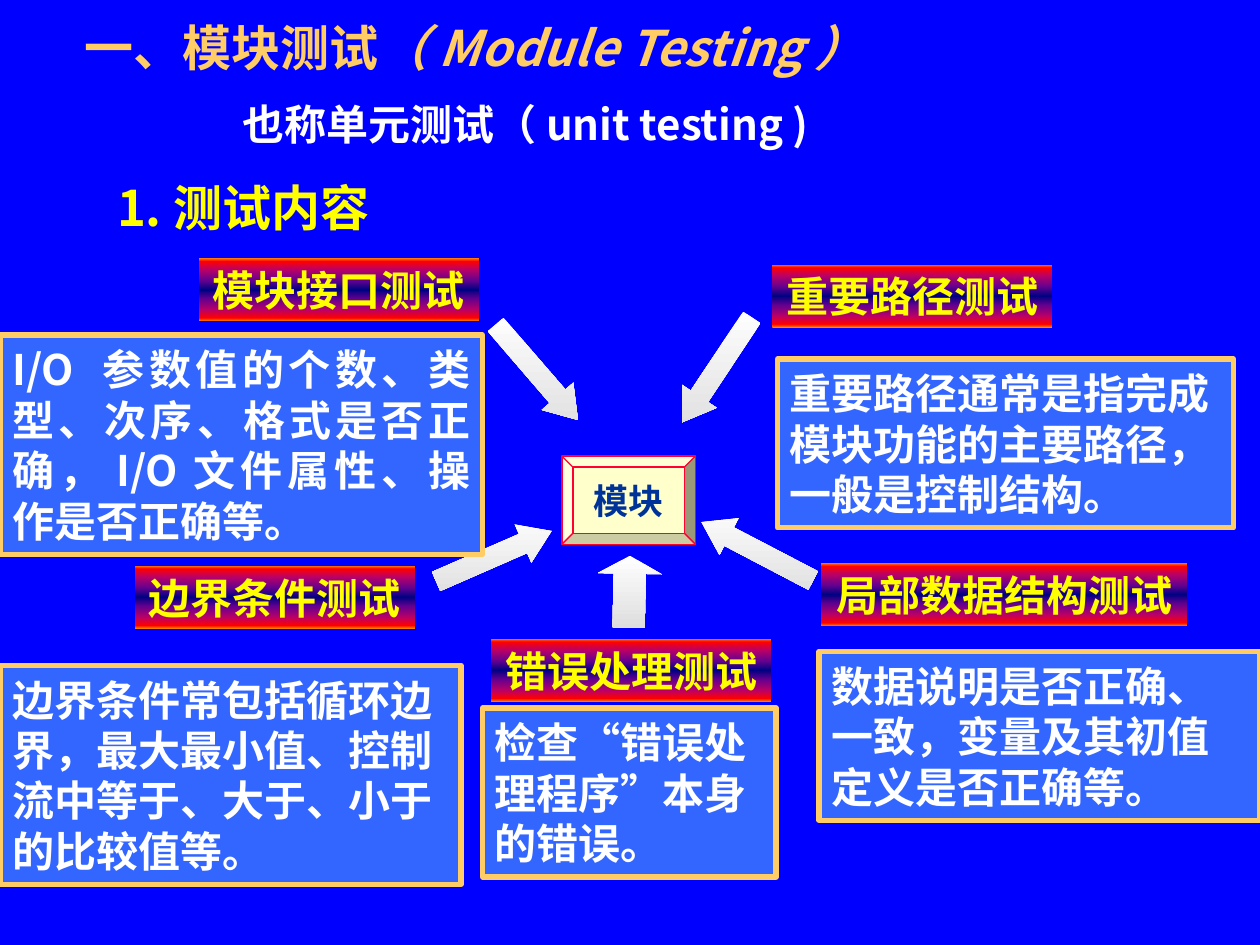
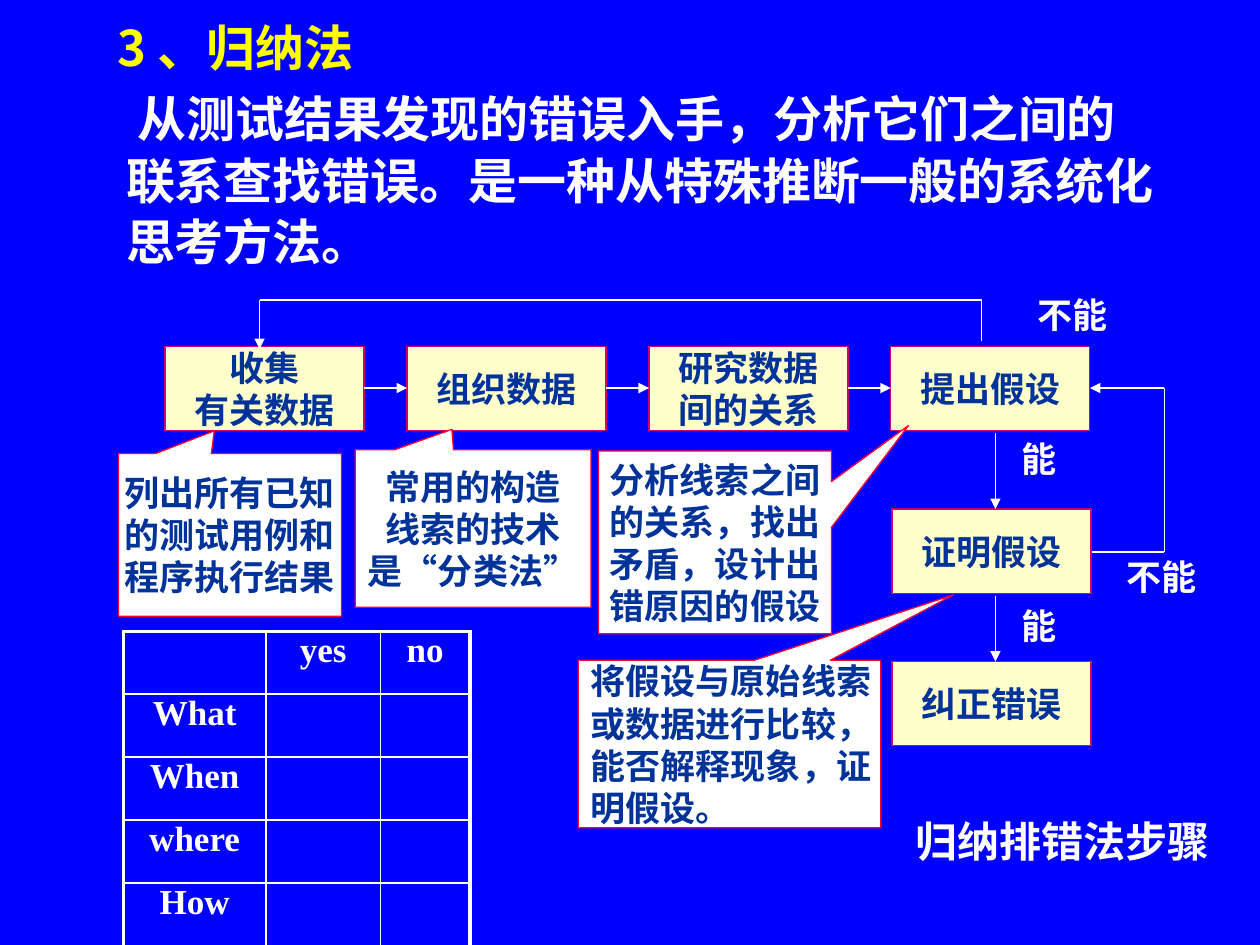
from lxml import etree
from pptx import Presentation
from pptx.dml.color import RGBColor
from pptx.enum.shapes import MSO_CONNECTOR, MSO_SHAPE as SHAPE
from pptx.enum.text import MSO_ANCHOR as ANCHOR, MSO_AUTO_SIZE as AUTO_SIZE, PP_ALIGN as ALIGN
from pptx.oxml.ns import qn
from pptx.util import Inches, Pt

BLUE, WHITE, YELLOW, GOLD = "0000FF", "FFFFFF", "FFFF00", "FFCC66"
PANEL, CREAM, NAVY, RED, MAGENTA = "3366FF", "FFFFCC", "003399", "FF0033", "CC0066"
LABEL_STOPS = [(0, "FF8200"), (5, "FF0000"), (18, "BA0066"), (35, "66008F"), (50, "000082"),
               (65, "66008F"), (82, "BA0066"), (95, "FF0000"), (100, "FF8200")]
ARROW_STOPS = [(0, "FFFFFF"), (100, "DEDEDE")]

SANS, SERIF = "Noto Sans CJK SC", "Times New Roman"
HEADING = {"size": Pt(28), "bold": True, "name": SANS}
TEXT = {"size": Pt(24), "bold": True, "name": SANS}
SMALL = {"size": Pt(20), "bold": True, "name": SERIF}


def rgb(value):
    return RGBColor.from_string(value)


def add_node(parent, tag, **attributes):
    return etree.SubElement(parent, qn(tag), attributes)


def inches(values):
    return [Inches(value) for value in values]


def place(shape, at):
    for name, value in zip(("left", "top", "width", "height"), inches(at)):
        setattr(shape, name, value)


def format_span(span, font, color, shadow=False):
    for name, value in font.items():
        setattr(span.font, name, value)
    span.font.color.rgb = rgb(color)
    properties = span._r.get_or_add_rPr()
    east_asian = etree.Element(qn("a:ea"), typeface=SANS)
    properties.find(qn("a:latin")).addnext(east_asian)
    if shadow:
        effects = etree.Element(qn("a:effectLst"))
        outer = add_node(effects, "a:outerShdw", dist="38100", dir="2700000", algn="tl")
        add_node(outer, "a:srgbClr", val="000000")
        properties.find(qn("a:solidFill")).addnext(effects)


def write(frame, lines, font, color, align=ALIGN.CENTER, wrap=True, anchor=ANCHOR.MIDDLE):
    """Fill a text frame with one paragraph for each line."""
    settings = {"word_wrap": wrap, "vertical_anchor": anchor, "auto_size": AUTO_SIZE.NONE}
    for name, value in settings.items():
        setattr(frame, name, value)
    for number, line in enumerate(lines):
        para = frame.paragraphs[0] if number == 0 else frame.add_paragraph()
        para.alignment = align
        span = para.add_run()
        span.text = line
        format_span(span, font, color)


def fill_gradient(shape, stops):
    """Fill from top to bottom of the page, whatever the rotation."""
    shape.fill.gradient()
    shape.fill.gradient_angle = 270
    gradient = shape._element.spPr.find(qn("a:gradFill"))
    gradient.set("rotWithShape", "0")
    stop_list = gradient.find(qn("a:gsLst"))
    stop_list.clear()
    for percent, color in stops:
        stop = add_node(stop_list, "a:gs", pos=str(percent * 1000))
        add_node(stop, "a:srgbClr", val=color)


def add_figure(page, kind, at, fill, line=None, weight=0.75):
    """Add a preset shape; fill is a colour or a list of gradient stops."""
    shape = page.shapes.add_shape(kind, *inches(at))
    shape.shadow.inherit = False
    if isinstance(fill, list):
        fill_gradient(shape, fill)
    else:
        shape.fill.solid()
        shape.fill.fore_color.rgb = rgb(fill)
    if line:
        shape.line.color.rgb = rgb(line)
        shape.line.width = Pt(weight)
    else:
        shape.line.fill.background()
    return shape


def add_label(page, at, text):
    label = add_figure(page, SHAPE.RECTANGLE, at, LABEL_STOPS)
    write(label.text_frame, [text], TEXT, YELLOW, wrap=False)


def add_panel(page, at, text, align=ALIGN.LEFT):
    panel = add_figure(page, SHAPE.RECTANGLE, at, PANEL, GOLD, 3)
    write(panel.text_frame, [text], TEXT, WHITE, align)


def add_block_arrow(page, at, rotation, head):
    arrow = add_figure(page, SHAPE.RIGHT_ARROW, at, ARROW_STOPS)
    arrow.rotation = rotation
    arrow.adjustments[1] = head


def add_step(page, left, top, lines):
    step = add_figure(page, SHAPE.RECTANGLE, (left, top, 1.58, 0.67), CREAM, MAGENTA)
    write(step.text_frame, lines, SMALL, NAVY, wrap=False)


def add_callout(page, at, tip, lines, align=ALIGN.CENTER):
    callout = add_figure(page, SHAPE.RECTANGULAR_CALLOUT, at, WHITE, RED)
    for index, value in enumerate(tip):
        callout.adjustments[index] = value
    write(callout.text_frame, lines, SMALL, NAVY, align, wrap=False)


def add_note(page, at, text, font, align=ALIGN.CENTER, wrap=True):
    box = page.shapes.add_textbox(*inches(at))
    write(box.text_frame, [text], font, WHITE, align, wrap)


def add_route(page, *points):
    """Join the points with lines and put an arrowhead at the last one."""
    for start, end in zip(points, points[1:]):
        line = page.shapes.add_connector(MSO_CONNECTOR.STRAIGHT, *inches(start + end))
        line.line.color.rgb = rgb(WHITE)
        line.line.width = Pt(0.75)
        properties = line._element.spPr
        add_node(properties, "a:effectLst")
    add_node(properties.find(qn("a:ln")), "a:tailEnd", type="triangle")


def add_title(page, at, spans, color):
    title = page.shapes.title
    place(title, at)
    write(title.text_frame, [], HEADING, color)
    para = title.text_frame.paragraphs[0]
    para.alignment = ALIGN.LEFT
    for text, changes in spans:
        span = para.add_run()
        span.text = text
        format_span(span, {**HEADING, **changes}, color, shadow=True)


def add_body(page, at, lines, color, line_spacing, first_indent=-0.31):
    body = page.placeholders[1]
    place(body, at)
    write(body.text_frame, lines, HEADING, color, ALIGN.LEFT, anchor=ANCHOR.TOP)
    for number, para in enumerate(body.text_frame.paragraphs):
        para.level = 1
        properties = para._p.get_or_add_pPr()
        properties.set("marL", str(Inches(0.81)))
        properties.set("indent", str(Inches(-0.31 if number else first_indent)))
        add_node(properties, "a:buNone")
        para.line_spacing = line_spacing
        para.space_before = Pt(3 if number else 0)


def set_borders(cell, widths):
    properties = cell._tc.get_or_add_tcPr()
    for index, (side, width) in enumerate(zip("LRTB", widths)):
        border = etree.Element(qn(f"a:ln{side}"), w=str(Pt(width)))
        add_node(add_node(border, "a:solidFill"), "a:srgbClr", val=WHITE)
        properties.insert(index, border)


def add_question_table(page):
    rows = [["", "yes", "no"]] + [[word, "", ""] for word in ("What", "When", "where", "How")]
    widths = (1.13, 0.91, 0.71)
    at = inches((0.98, 5.01, sum(widths), 0.5 * len(rows)))
    table = page.shapes.add_table(len(rows), len(widths), *at).table
    table.first_row = table.horz_banding = False
    for column, width in zip(table.columns, widths):
        column.width = Inches(width)
    last_row, last_column = len(rows) - 1, len(widths) - 1
    for r, row in enumerate(rows):
        for c, text in enumerate(row):
            cell = table.cell(r, c)
            cell.fill.background()
            outer = (c == 0, c == last_column, r == 0, r == last_row)
            set_borders(cell, [2.25 if edge else 1 for edge in outer])
            if text:
                para = cell.text_frame.paragraphs[0]
                para.alignment = ALIGN.CENTER
                para.line_spacing = 0.8
                span = para.add_run()
                span.text = text
                format_span(span, SMALL, WHITE)


def build_module_testing(page):
    add_title(page, (0.57, 0, 9.43, 0.75),
              [("一、模块测试", {}), ("（Module Testing）", {"italic": True})], GOLD)
    add_body(page, (0.33, 1.31, 9.17, 0.74), ["1.测试内容"], YELLOW, 1.1)
    module = add_figure(page, SHAPE.BEVEL, (4.46, 3.62, 1.06, 0.7), CREAM, RED)
    write(module.text_frame, ["模块"], SMALL, NAVY, wrap=False)

    for left, top, width, text in [
            (1.58, 2.05, 2.22, "模块接口测试"), (6.52, 4.47, 2.9, "局部数据结构测试"),
            (6.13, 2.1, 2.22, "重要路径测试"), (3.9, 5.07, 2.22, "错误处理测试"),
            (1.07, 4.49, 2.22, "边界条件测试")]:
        add_label(page, (left, top, width, 0.5), text)

    for left, top, rotation in [(3.76, 2.79, 49.2), (3.42, 4.25, 336.4),
                                (5.51, 4.21, 207.6), (5.19, 2.77, 123.6)]:
        add_block_arrow(page, (left, top, 1, 0.33), rotation, 0.75)
    add_block_arrow(page, (4.71, 4.44, 0.57, 0.51), 271, 0.28)

    add_panel(page, (0, 2.66, 3.83, 1.74),
              "I/O 参数值的个数、类型、次序、格式是否正确，I/O文件属性、操作是否正确等。", ALIGN.JUSTIFY)
    add_panel(page, (6.5, 5.17, 3.5, 1.34), "数据说明是否正确、一致，变量及其初值定义是否正确等。")
    add_panel(page, (3.83, 5.62, 2.33, 1.34), "检查“错误处理程序”本身的错误。")
    add_panel(page, (0, 5.28, 3.66, 1.74),
              "边界条件常包括循环边界，最大最小值、控制流中等于、大于、小于的比较值等。")
    add_panel(page, (6.17, 2.85, 3.62, 1.34),
              "重要路径通常是指完成模块功能的主要路径，一般是控制结构。")
    add_note(page, (0.97, 0.73, 6.4, 0.5), "也称单元测试（unit testing )", TEXT)


def build_induction(page):
    add_title(page, (0.83, 0, 8.5, 0.75), [("3、归纳法", {})], YELLOW)
    add_body(page, (0.4, 0.69, 9.15, 1.5),
             ["从测试结果发现的错误入手，分析它们之间的",
              "联系查找错误。是一种从特殊推断一般的系统化",
              "思考方法。"], WHITE, 0.95, first_indent=-0.22)

    first_left, pitch, step_width = 1.31, 1.92, 1.58
    steps = [["收集", "有关数据"], ["组织数据"], ["研究数据", "间的关系"], ["提出假设"]]
    for number, lines in enumerate(steps):
        left = first_left + number * pitch
        add_step(page, left, 2.75, lines)
        if number:
            add_route(page, (left - pitch + step_width, 3.08), (left, 3.08))
    for top, text in [(4.04, "证明假设"), (5.25, "纠正错误")]:
        add_step(page, 7.08, top, [text])

    add_route(page, (7.9, 3.44), (7.9, 4.04))
    add_route(page, (7.9, 4.73), (7.9, 5.25))
    add_route(page, (8.67, 4.38), (9.24, 4.38), (9.24, 3.08), (8.65, 3.08))
    add_route(page, (7.79, 2.71), (7.79, 2.38), (2.06, 2.38), (2.06, 2.77))
    for top in (3.42, 4.75):
        add_note(page, (8.01, top, 0.48, 0.43), "能", SMALL, wrap=False)
    for left, top in [(8.72, 4.36), (8.01, 2.28)]:
        add_note(page, (left, top, 1, 0.43), "不能", SMALL)

    add_callout(page, (0.94, 3.6, 1.77, 1.29), (-0.07, -0.64),
                ["列出所有已知", "的测试用例和", "程序执行结果"])
    add_callout(page, (2.82, 3.57, 1.87, 1.25), (-0.09, -0.63),
                ["常用的构造", "线索的技术", "是“分类法”"])
    add_callout(page, (4.75, 3.58, 1.85, 1.45), (0.83, -0.64),
                ["分析线索之间", "的关系，找出", "矛盾，设计出", "错原因的假设"])
    add_note(page, (7.17, 6.42, 2.56, 0.5), "归纳排错法步骤", TEXT, ALIGN.LEFT, wrap=False)
    add_callout(page, (4.59, 5.24, 2.4, 1.33), (0.74, -0.89),
                ["将假设与原始线索", "或数据进行比较，", "能否解释现象，证", "明假设。"], ALIGN.LEFT)
    add_question_table(page)


def main():
    deck = Presentation()
    deck.slide_width, deck.slide_height = Inches(10), Inches(7.5)
    background = deck.slide_master.background.fill
    background.solid()
    background.fore_color.rgb = rgb(BLUE)
    for build in (build_module_testing, build_induction):
        build(deck.slides.add_slide(deck.slide_layouts[1]))
    deck.save("out.pptx")


if __name__ == "__main__":
    main()
